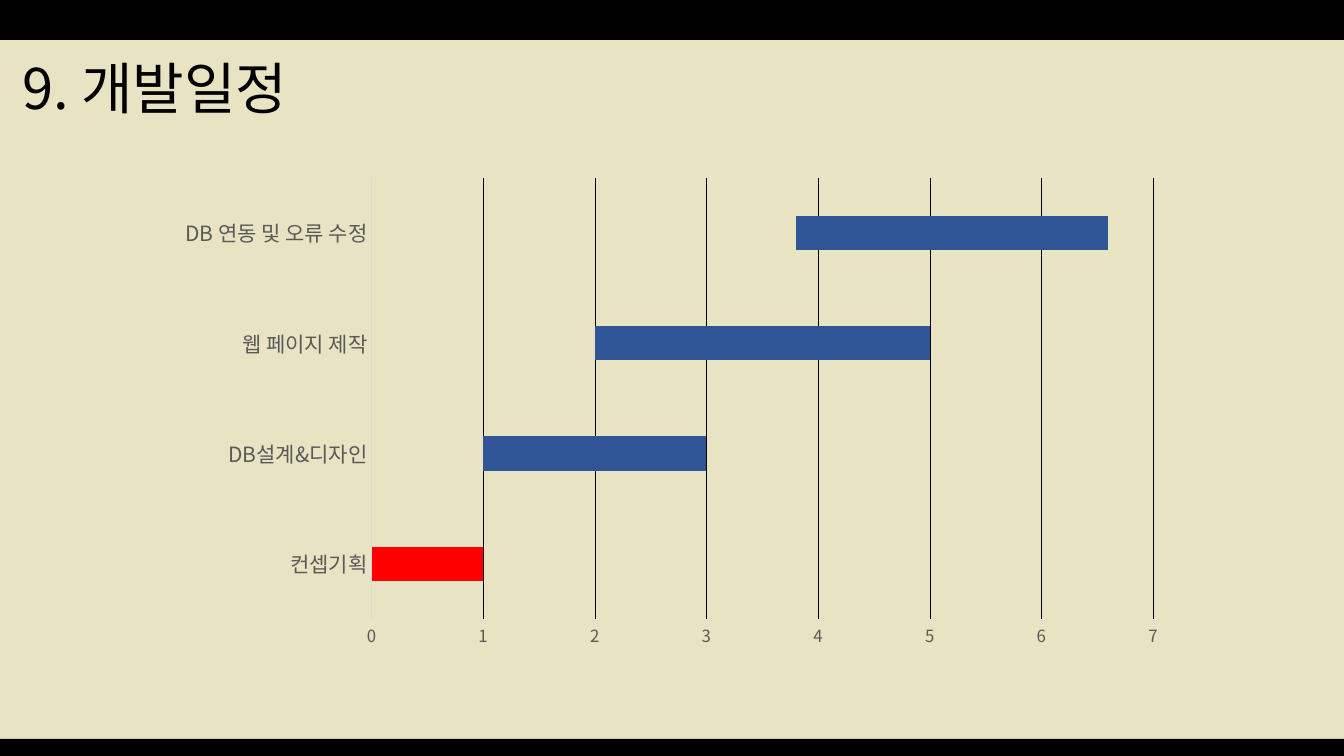
from lxml import etree
from pptx import Presentation
from pptx.chart.data import CategoryChartData
from pptx.dml.color import RGBColor
from pptx.enum.chart import XL_CHART_TYPE, XL_TICK_MARK
from pptx.enum.shapes import MSO_SHAPE
from pptx.enum.text import MSO_ANCHOR, PP_ALIGN
from pptx.oxml.ns import qn
from pptx.util import Pt

RECTANGLE = MSO_SHAPE.RECTANGLE
BAR_STACKED = XL_CHART_TYPE.BAR_STACKED
NO_TICK = XL_TICK_MARK.NONE
MIDDLE = MSO_ANCHOR.MIDDLE
LEFT = PP_ALIGN.LEFT

EMU_PER_PX = 914400 / 100.8
WIDTH, HEIGHT = 1344, 756
FONT = "Noto Sans CJK KR"
COLORS = {
    "background": "E8E3C2",
    "black": "000000",
    "label": "595959",
    "axis": "D9D9D9",
    "task": "2F5597",
    "current": "FF0000",
    "spare": "4C3300",
}
TASKS = ["컨셉기획", "DB설계&디자인", "웹 페이지 제작", "DB 연동 및 오류 수정"]
STARTS = [0, 1, 2, 3.8]
DURATIONS = [1, 2, 3, 2.8]


def px(length):
    return round(length * EMU_PER_PX)


def color(name):
    return RGBColor.from_string(COLORS[name])


def fill_solid(fill, name):
    fill.solid()
    fill.fore_color.rgb = color(name)


def format_font(font, size, name):
    for attribute, value in {"size": Pt(size), "name": FONT}.items():
        setattr(font, attribute, value)
    font.color.rgb = color(name)


def use_font_for_korean(element):
    """Repeat each Latin typeface as the East Asian one."""
    for latin in list(element.iter(qn("a:latin"))):
        east_asian = etree.Element(qn("a:ea"), typeface=latin.get("typeface"))
        latin.addnext(east_asian)


def add_band(slide, box):
    band = slide.shapes.add_shape(RECTANGLE, *map(px, box))
    band.shadow.inherit = False
    fill_solid(band.fill, "black")
    band.line.fill.background()


def place_title(slide, box, text):
    title = slide.shapes.title
    for attribute, length in zip(("left", "top", "width", "height"), box):
        setattr(title, attribute, px(length))
    frame = title.text_frame
    frame.text = text
    frame.word_wrap = True
    frame.vertical_anchor = MIDDLE
    paragraph = frame.paragraphs[0]
    paragraph.alignment = LEFT
    paragraph.line_spacing = 0.9
    format_font(paragraph.runs[0].font, 40, "black")
    use_font_for_korean(title.element)


def format_axes(chart):
    for axis, size in ((chart.category_axis, 15), (chart.value_axis, 12)):
        axis.major_tick_mark = NO_TICK
        axis.minor_tick_mark = NO_TICK
        format_font(axis.tick_labels.font, size, "label")
    category_line = chart.category_axis.format.line
    category_line.color.rgb = color("axis")
    category_line.width = Pt(0.75)

    value_axis = chart.value_axis
    scale = {"minimum_scale": 0, "maximum_scale": 7, "major_unit": 1,
             "has_major_gridlines": True}
    for attribute, value in scale.items():
        setattr(value_axis, attribute, value)
    value_axis.format.line.fill.background()
    gridline = value_axis.major_gridlines.format.line
    gridline.color.rgb = color("black")
    gridline.width = Pt(0.25)


def add_schedule(slide, box):
    """Gantt chart: an unfilled start series carries the duration bars."""
    data = CategoryChartData()
    data.categories = TASKS
    for number, values in enumerate((STARTS, DURATIONS, [0] * len(TASKS)), 1):
        data.add_series(f"Series {number}", values)
    chart = slide.shapes.add_chart(BAR_STACKED, *map(px, box), data).chart
    chart.has_legend = False
    chart.has_title = False
    format_font(chart.font, 10, "black")
    format_axes(chart)

    plot = chart.plots[0]
    for attribute, value in {"gap_width": 219, "overlap": 100,
                             "vary_by_categories": False}.items():
        setattr(plot, attribute, value)
    starts, durations, spare = plot.series
    starts.format.fill.background()
    fill_solid(durations.format.fill, "task")
    fill_solid(durations.points[0].format.fill, "current")
    fill_solid(spare.format.fill, "spare")
    use_font_for_korean(chart.element)


def build_schedule_slide(presentation):
    slide = presentation.slides.add_slide(presentation.slide_layouts[5])
    fill_solid(slide.background.fill, "background")
    add_band(slide, (0, 0, WIDTH, 40))
    add_band(slide, (0, 739, WIDTH, HEIGHT - 739))
    place_title(slide, (12, 40, 310, 103), "9. 개발일정")
    add_schedule(slide, (165, 168, 1013, 490))


def main():
    presentation = Presentation()
    presentation.slide_width = px(WIDTH)
    presentation.slide_height = px(HEIGHT)
    build_schedule_slide(presentation)
    presentation.save("out.pptx")


if __name__ == "__main__":
    main()
